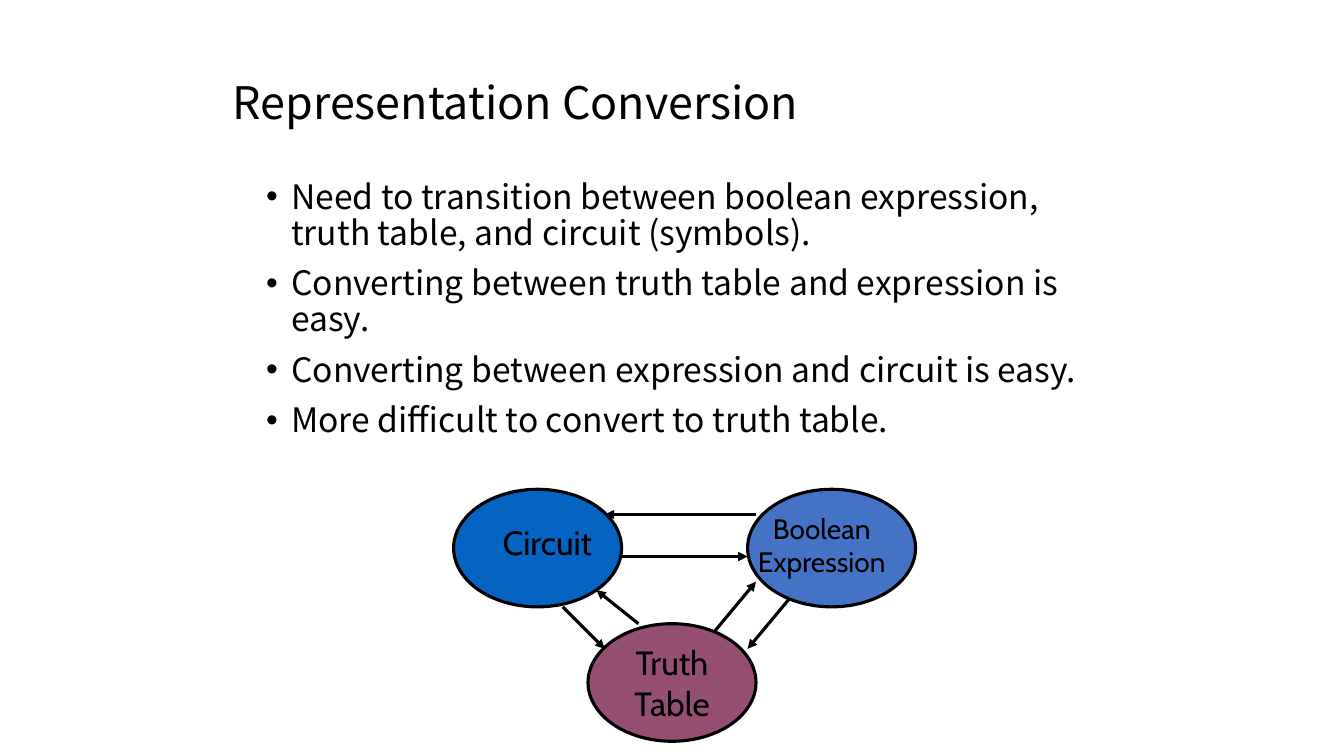
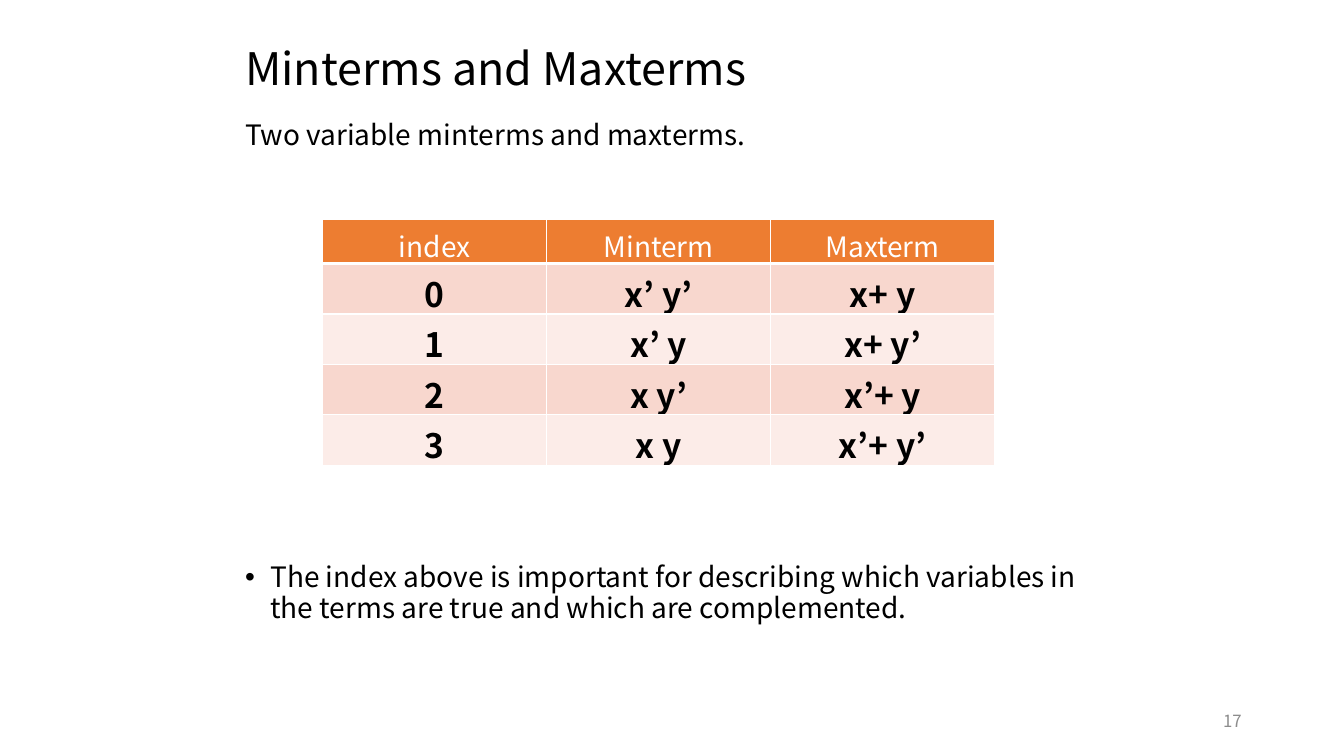
"""Build two slides on boolean representations, minterms and maxterms."""
from lxml.etree import SubElement
from pptx import Presentation
from pptx.dml.color import RGBColor
from pptx.enum.shapes import MSO_CONNECTOR, MSO_SHAPE
from pptx.enum.text import MSO_ANCHOR, MSO_AUTO_SIZE, PP_ALIGN
from pptx.oxml import parse_xml
from pptx.oxml.ns import nsdecls, qn
from pptx.util import Pt

BLACK = RGBColor(0x00, 0x00, 0x00)
WHITE = RGBColor(0xFF, 0xFF, 0xFF)
GRAY = RGBColor(0x8C, 0x8C, 0x8C)
CIRCUIT_BLUE = RGBColor(0x05, 0x63, 0xC1)
EXPRESSION_BLUE = RGBColor(0x44, 0x72, 0xC4)
TABLE_PLUM = RGBColor(0x95, 0x4F, 0x72)
ORANGE = RGBColor(0xED, 0x7D, 0x31)
BANDS = [RGBColor(0xFC, 0xEC, 0xE8), RGBColor(0xF8, 0xD7, 0xCE)]
TEXT_FONT = "Noto Sans CJK KR"
DIAGRAM_FONT = "Cabin"


def add_text(paragraph, text, size, color=BLACK, font_name=TEXT_FONT, bold=False):
    run = paragraph.add_run()
    run.text = text
    run.font.name = font_name
    run.font.size = Pt(size)
    run.font.bold = bold
    run.font.color.rgb = color


def add_text_box(slide, box, lines, size, color=BLACK, bullets=False):
    shape = slide.shapes.add_textbox(*map(Pt, box))
    shape.text_frame.word_wrap = True
    for index, line in enumerate(lines):
        paragraph = shape.text_frame.paragraphs[0] if index == 0 else shape.text_frame.add_paragraph()
        paragraph.line_spacing = 0.9
        if index:
            paragraph.space_before = Pt(10)
        if bullets:
            properties = paragraph._p.get_or_add_pPr()
            properties.set("marL", str(Pt(18)))
            properties.set("indent", str(-Pt(18)))
            SubElement(properties, qn("a:buFont"), typeface="Arial")
            SubElement(properties, qn("a:buChar"), char="•")
        add_text(paragraph, line, size, color)
    return shape


presentation = Presentation()
presentation.slide_width = Pt(960)
presentation.slide_height = Pt(540)

slides = []
for title_text, box in [
    ("Representation Conversion", (159, 42, 610, 65.5)),
    ("Minterms and Maxterms", (168, 24, 612, 53)),
]:
    slide = presentation.slides.add_slide(presentation.slide_layouts[5])
    title = slide.shapes.title
    title.left, title.top, title.width, title.height = map(Pt, box)
    title.text_frame.auto_size = MSO_AUTO_SIZE.NONE
    title.text_frame.vertical_anchor = MSO_ANCHOR.MIDDLE
    paragraph = title.text_frame.paragraphs[0]
    paragraph.alignment = PP_ALIGN.LEFT
    paragraph.line_spacing = 0.9
    add_text(paragraph, title_text, 32)
    slides.append(slide)
conversion_slide, minterm_slide = slides

add_text_box(conversion_slide, (183, 125, 612, 212), [
    "Need to transition between boolean expression, truth table, and circuit (symbols).",
    "Converting between truth table and expression is easy.",
    "Converting between expression and circuit is easy.",
    "More difficult to convert to truth table.",
], 24, bullets=True)

for left, top, fill_color, lines, size, margins in [
    (324, 349.5, CIRCUIT_BLUE, ["Circuit"], 24, (14, 0, 8)),
    (534, 349.5, EXPRESSION_BLUE, ["Boolean", "Expression"], 20, (0, 14, 5)),
    (420, 445.5, TABLE_PLUM, ["Truth", "Table"], 24, (0, 0, 0)),
]:
    ellipse = conversion_slide.shapes.add_shape(MSO_SHAPE.OVAL, Pt(left), Pt(top), Pt(120), Pt(84))
    ellipse.shadow.inherit = False
    ellipse.fill.solid()
    ellipse.fill.fore_color.rgb = fill_color
    ellipse.line.color.rgb = BLACK
    ellipse.line.width = Pt(2.25)
    frame = ellipse.text_frame
    frame.word_wrap = False
    frame.vertical_anchor = MSO_ANCHOR.MIDDLE
    frame.margin_top = 0
    frame.margin_left, frame.margin_right, frame.margin_bottom = map(Pt, margins)
    for index, line in enumerate(lines):
        paragraph = frame.paragraphs[0] if index == 0 else frame.add_paragraph()
        paragraph.alignment = PP_ALIGN.CENTER
        add_text(paragraph, line, size, font_name=DIAGRAM_FONT)

for ends in [
    (510, 451.5, 540, 415.5),
    (564, 427.5, 534, 463.5),
    (540, 367.5, 432, 367.5),
    (444, 397.5, 534, 397.5),
    (456, 445.5, 426, 421.5),
    (402, 433.5, 432, 463.5),
]:
    arrow = conversion_slide.shapes.add_connector(MSO_CONNECTOR.STRAIGHT, *map(Pt, ends))
    arrow.line.color.rgb = BLACK
    arrow.line.width = Pt(2.25)
    SubElement(arrow.line._get_or_add_ln(), qn("a:tailEnd"), type="triangle")
    SubElement(arrow._element.spPr, qn("a:effectLst"))

add_text_box(minterm_slide, (168, 83, 630, 36), ["Two variable minterms and maxterms."], 20)

rows = [
    ("index", "Minterm", "Maxterm"),
    ("0", "x’ y’", "x+ y"),
    ("1", "x’ y", "x+ y’"),
    ("2", "x y’", "x’+ y"),
    ("3", "x y", "x’+ y’"),
]
table = minterm_slide.shapes.add_table(5, 3, Pt(230.5), Pt(157), Pt(480), Pt(175)).table
for row_index, texts in enumerate(rows):
    header = row_index == 0
    table.rows[row_index].height = Pt(31 if header else 36)
    for column_index, text in enumerate(texts):
        cell = table.cell(row_index, column_index)
        cell.fill.solid()
        cell.fill.fore_color.rgb = ORANGE if header else BANDS[row_index % 2]
        widths = {"L": 1, "R": 1, "T": 3 if row_index == 1 else 1, "B": 3 if header else 1}
        for position, (side, width) in enumerate(widths.items()):
            border = parse_xml(
                f'<a:ln{side} {nsdecls("a")} w="{Pt(width)}"><a:solidFill>'
                f'<a:srgbClr val="{WHITE}"/></a:solidFill></a:ln{side}>'
            )
            cell._tc.get_or_add_tcPr().insert(position, border)
        paragraph = cell.text_frame.paragraphs[0]
        paragraph.alignment = PP_ALIGN.CENTER
        add_text(paragraph, text, 20 if header else 24, WHITE if header else BLACK, bold=not header)

add_text_box(minterm_slide, (168, 399, 630, 60), [
    "The index above is important for describing which variables in the terms are true and which are complemented.",
], 20, bullets=True)

slide_number = add_text_box(minterm_slide, (678, 500.5, 216, 28.5), ["17"], 12, GRAY)
slide_number.text_frame.vertical_anchor = MSO_ANCHOR.MIDDLE
slide_number.text_frame.paragraphs[0].alignment = PP_ALIGN.RIGHT
slide_number.text_frame.paragraphs[0].line_spacing = 1.0

presentation.save("out.pptx")
